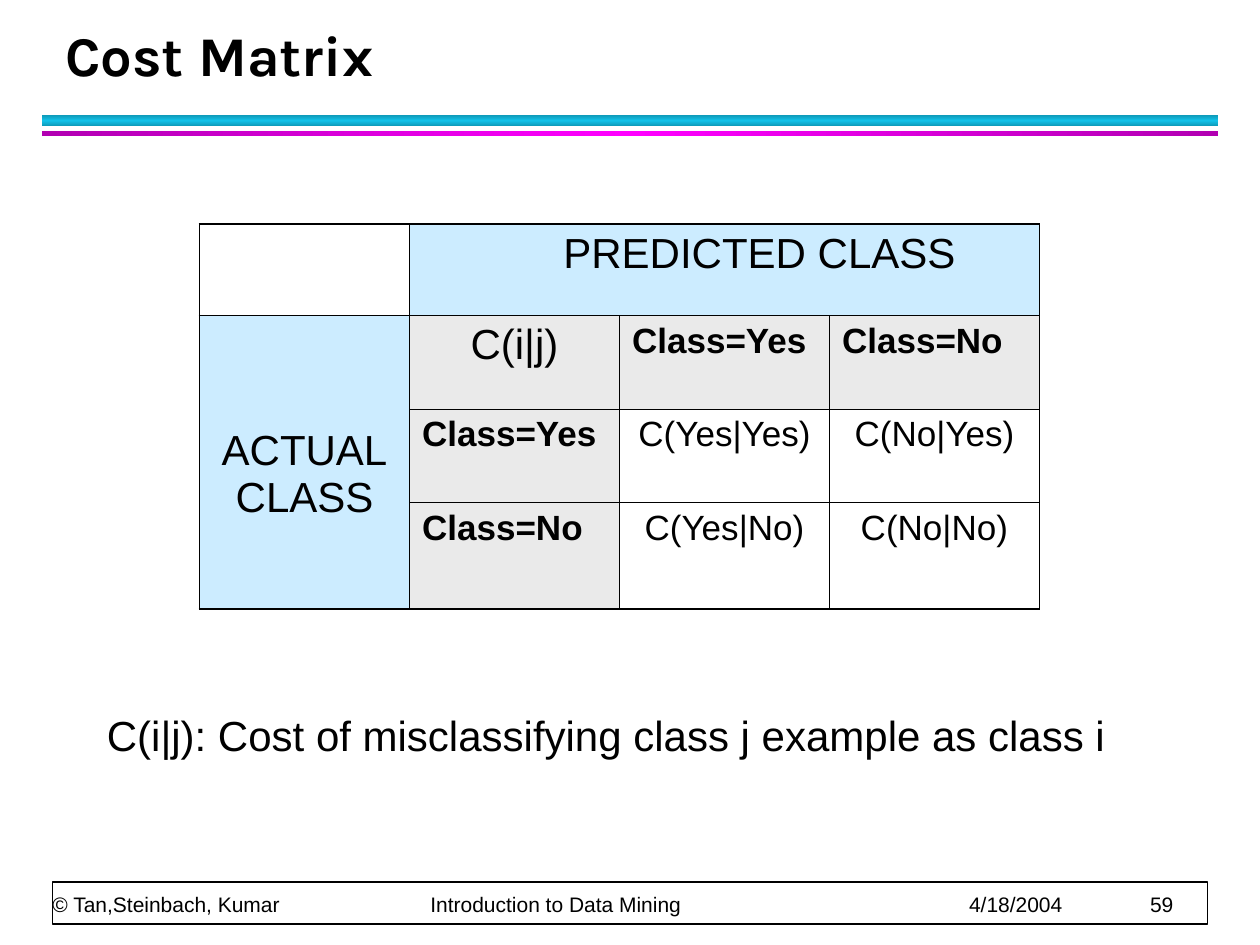
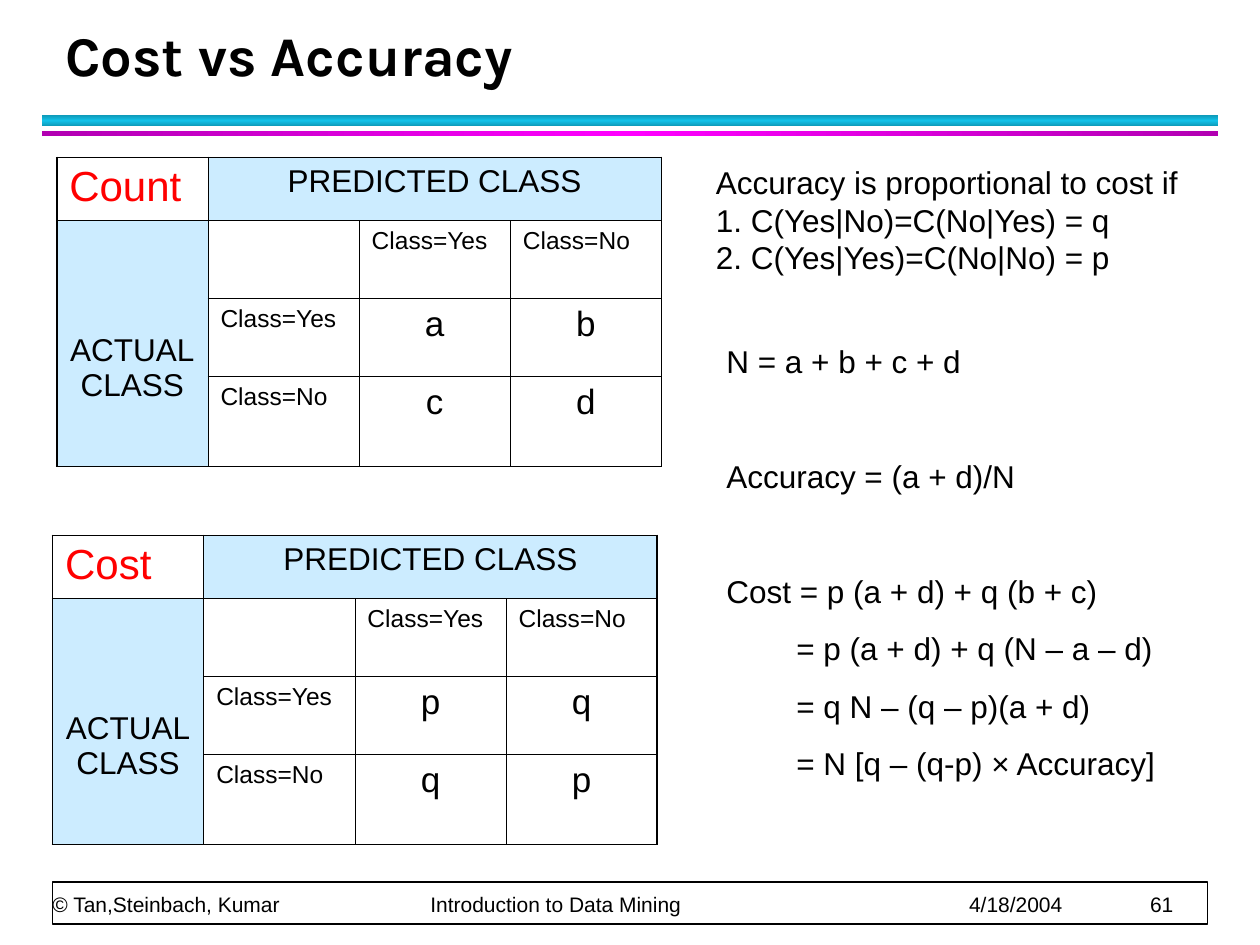
from collections import namedtuple
from copy import deepcopy

from pptx import Presentation
from pptx import util as u
from pptx.dml.color import RGBColor
from pptx.enum import shapes, text
from pptx.oxml import ns
from pptx.oxml.xmlchemy import OxmlElement

Pt = u.Pt
BLACK = RGBColor(0x00, 0x00, 0x00)
WHITE = RGBColor(0xFF, 0xFF, 0xFF)
RED = RGBColor(0xFF, 0x00, 0x00)
PALE_BLUE = RGBColor(0xCC, 0xEC, 0xFF)
GRAY = RGBColor(0xEA, 0xEA, 0xEA)
TEAL = RGBColor(0x0E, 0x9B, 0xBA)
CYAN = RGBColor(0x12, 0xC2, 0xE9)
PURPLE = RGBColor(0xB2, 0x00, 0xB2)
MAGENTA = RGBColor(0xFF, 0x00, 0xFF)
BODY_FONT, TITLE_FONT = "Arial", "Karla"
LEFT, CENTER = text.PP_ALIGN.LEFT, text.PP_ALIGN.CENTER
INSET_X, INSET_Y = 7.2, 3.6
OUTER_LINE, INNER_LINE = 1.08, 0.45

BANDS = [(66, 6, TEAL, CYAN, 90), (74.9, 2.9, PURPLE, MAGENTA, 0)]
FOOTER = ["© Tan,Steinbach, Kumar", "Introduction to Data Mining", "4/18/2004"]
FOOTER_TABS = [216, 523.8, 627.2]

Style = namedtuple("Style", "size align fill color bold left top",
                   defaults=(LEFT, None, BLACK, False, INSET_X, INSET_Y))
VALUE = Style(20, CENTER)
MATRIX_STYLES = {
    "corner": Style(24),
    "predicted": Style(24, CENTER, PALE_BLUE, left=47.2),
    "actual": Style(24, CENTER, PALE_BLUE, top=64),
    "key": Style(24, CENTER, GRAY),
    "label": Style(20, fill=GRAY, bold=True),
    "value": VALUE,
}
COMPACT_STYLES = {
    "corner": Style(24, color=RED),
    "predicted": Style(18, CENTER, PALE_BLUE),
    "actual": Style(18, CENTER, PALE_BLUE, top=64),
    "key": Style(14),
    "label": Style(14),
    "value": VALUE,
}
COMPACT_ROWS = [36, 44.6, 44.6, 51.4]

COST_VALUES = [["C(Yes|Yes)", "C(No|Yes)"], ["C(Yes|No)", "C(No|No)"]]
CAPTION = [("C(i|j): Cost of misclassifying class j example as class i", 0, 0)]
CONDITIONS = [
    ("Accuracy is proportional to cost if", 0, 0),
    ("1. C(Yes|No)=C(No|Yes) = q", 0, 0),
    ("2. C(Yes|Yes)=C(No|No) = p", 0, 0),
]
STEP_GAP, GROUP_GAP, EQUALS_INDENT = 11.4, 44.3, 40
DERIVATION = [
    ("N = a + b + c + d", 0, 0),
    ("Accuracy = (a + d)/N", GROUP_GAP, 0),
    ("Cost = p (a + d) + q (b + c)", GROUP_GAP, 0),
    ("= p (a + d) + q (N – a – d)", STEP_GAP, EQUALS_INDENT),
    ("= q N – (q – p)(a + d)", STEP_GAP, EQUALS_INDENT),
    ("= N [q – (q-p) × Accuracy]", STEP_GAP, EQUALS_INDENT),
]
SLIDES = [
    {
        "title": "Cost Matrix", "number": "59",
        "tables": [(114, 128, 120, [52.2, 53.5, 53.4, 60.9], MATRIX_STYLES,
                    "", "C(i|j)", COST_VALUES)],
        "texts": [(54, 402, 618, 72, 24, CAPTION)],
    },
    {
        "title": "Cost vs Accuracy", "number": "61",
        "tables": [
            (32.4, 90, 86.4, COMPACT_ROWS, COMPACT_STYLES,
             "Count", "", [["a", "b"], ["c", "d"]]),
            (30, 306, 86.4, COMPACT_ROWS, COMPACT_STYLES,
             "Cost", "", [["p", "q"], ["q", "p"]]),
        ],
        "texts": [(408, 192, 282, 292, 18, DERIVATION),
                  (402, 90, 294, 72, 18, CONDITIONS)],
    },
]


def add_span(para, words, size, color=BLACK, bold=False, font=BODY_FONT):
    span = para.add_run()
    span.text = words
    span.font.size = Pt(size)
    span.font.name = font
    span.font.bold = bold
    span.font.color.rgb = color


def add_bar(page, left, top, width, height):
    bar = page.shapes.add_shape(shapes.MSO_SHAPE.RECTANGLE,
                                Pt(left), Pt(top), Pt(width), Pt(height))
    bar.shadow.inherit = False
    return bar


def add_bands(page):
    for top, height, edge, middle, angle in BANDS:
        band = add_bar(page, 24, top, 672, height)
        band.line.fill.background()
        band.fill.gradient()
        band.fill.gradient_angle = angle
        stops = band.element.spPr.find(".//" + ns.qn("a:gsLst"))
        center_stop = deepcopy(stops[0])
        center_stop.set("pos", "50000")
        stops.insert(1, center_stop)
        for stop, color in zip(band.fill.gradient_stops, (edge, middle, edge)):
            stop.color.rgb = color


def add_footer(page, number):
    frame = add_bar(page, 30, 504, 660, 24)
    frame.fill.solid()
    frame.fill.fore_color.rgb = WHITE
    frame.line.color.rgb = BLACK
    frame.line.width = Pt(1)
    box = page.shapes.add_textbox(Pt(30), Pt(484), Pt(659), Pt(40)).text_frame
    box.word_wrap = True
    box.vertical_anchor = text.MSO_ANCHOR.BOTTOM
    box.margin_left = box.margin_right = box.margin_top = box.margin_bottom = 0
    para = box.paragraphs[0]
    para.line_spacing = Pt(20)
    tabs = OxmlElement("a:tabLst")
    for position in FOOTER_TABS:
        tab = OxmlElement("a:tab")
        tab.set("pos", str(Pt(position)))
        tab.set("algn", "l")
        tabs.append(tab)
    para._p.get_or_add_pPr().append(tabs)
    add_span(para, "\t".join(FOOTER + [number]), 12)


def set_title(page, words):
    title = page.shapes.title
    title.left, title.top, title.width, title.height = Pt(30), Pt(12), Pt(652), Pt(42)
    box = title.text_frame
    box.auto_size = text.MSO_AUTO_SIZE.NONE
    box.vertical_anchor = text.MSO_ANCHOR.BOTTOM
    para = box.paragraphs[0]
    para.alignment = LEFT
    para.line_spacing = Pt(36)
    add_span(para, words, 32, bold=True, font=TITLE_FONT)


def add_lines(page, left, top, width, height, size, lines):
    box = page.shapes.add_textbox(Pt(left), Pt(top), Pt(width), Pt(height)).text_frame
    box.word_wrap = True
    for index, (words, gap, indent) in enumerate(lines):
        para = box.add_paragraph() if index else box.paragraphs[0]
        para.line_spacing = Pt(round(size * 1.19, 1))
        para.space_before = Pt(gap)
        if indent:
            para._p.get_or_add_pPr().set("marL", str(Pt(indent)))
        add_span(para, words, size)


def set_borders(cell, edges):
    properties = cell._tc.get_or_add_tcPr()
    for side, outer in edges:
        line = OxmlElement("a:ln" + side)
        line.set("w", str(Pt(OUTER_LINE if outer else INNER_LINE)))
        fill = OxmlElement("a:solidFill")
        color = OxmlElement("a:srgbClr")
        color.set("val", str(BLACK))
        fill.append(color)
        line.append(fill)
        properties.append(line)


def fill_cell(cell, words, style):
    if style.fill is None:
        cell.fill.background()
    else:
        cell.fill.solid()
        cell.fill.fore_color.rgb = style.fill
    cell.margin_left, cell.margin_right = Pt(style.left), Pt(INSET_X)
    cell.margin_top, cell.margin_bottom = Pt(style.top), Pt(INSET_Y)
    para = cell.text_frame.paragraphs[0]
    para.alignment = style.align
    for index, line in enumerate(words.splitlines()):
        if index:
            para.add_line_break()
        add_span(para, line, style.size, style.color, style.bold)


def add_matrix(page, left, top, column, rows, styles, corner, key, values):
    count = len(rows)
    table = page.shapes.add_table(count, count, Pt(left), Pt(top),
                                  Pt(column * count), Pt(sum(rows))).table
    table.first_row = table.horz_banding = False
    for index, height in enumerate(rows):
        table.columns[index].width = Pt(column)
        table.rows[index].height = Pt(height)
    table.cell(0, 1).merge(table.cell(0, count - 1))
    table.cell(1, 0).merge(table.cell(count - 1, 0))
    content = {(0, 0): (corner, "corner"), (0, 1): ("PREDICTED CLASS", "predicted"),
               (1, 0): ("ACTUAL\nCLASS", "actual"), (1, 1): (key, "key")}
    for index, name in enumerate(("Class=Yes", "Class=No"), 2):
        content[1, index] = content[index, 1] = (name, "label")
        for offset, value in enumerate(values[index - 2], 2):
            content[index, offset] = (value, "value")
    for row in range(count):
        for col in range(count):
            cell = table.cell(row, col)
            set_borders(cell, [("L", col == 0), ("R", col + cell.span_width == count),
                               ("T", row == 0), ("B", row + cell.span_height == count)])
            if (row, col) in content:
                words, role = content[row, col]
                fill_cell(cell, words, styles[role])


def main():
    deck = Presentation()
    deck.slide_width, deck.slide_height = Pt(720), Pt(540)
    for slide in SLIDES:
        page = deck.slides.add_slide(deck.slide_layouts[5])
        add_bands(page)
        add_footer(page, slide["number"])
        set_title(page, slide["title"])
        for matrix in slide["tables"]:
            add_matrix(page, *matrix)
        for lines in slide["texts"]:
            add_lines(page, *lines)
    deck.save("out.pptx")


if __name__ == "__main__":
    main()
